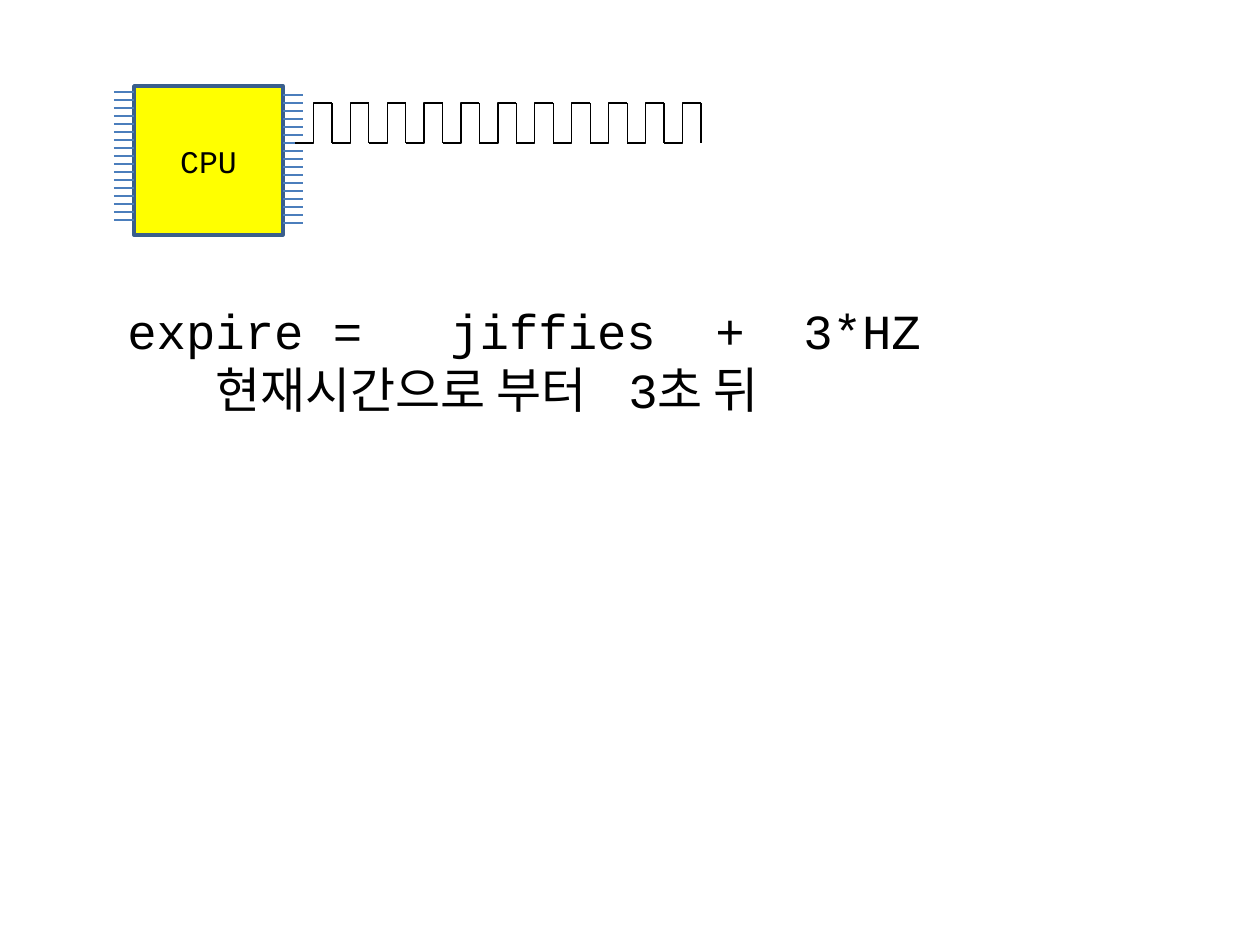
from lxml.etree import SubElement
from pptx import Presentation
from pptx.dml.color import RGBColor
from pptx.enum.shapes import MSO_CONNECTOR as CONN, MSO_SHAPE as SHAPE
from pptx.enum.text import MSO_ANCHOR as ANCHOR, PP_ALIGN as ALIGN
from pptx.oxml.ns import qn
from pptx.util import Emu, Pt

FONT = "Courier New"
BLACK = RGBColor(0x00, 0x00, 0x00)
YELLOW = RGBColor(0xFF, 0xFF, 0x00)
CHIP_EDGE = RGBColor(0x3A, 0x5F, 0x8C)
PIN_BLUE = RGBColor(0x4B, 0x7E, 0xBC)

CHIP = (134, 86, 149, 149)
PIN_COUNT, PIN_STEP = 17, 8
PIN_SIDES = [(283, 303, 95), (114, 134, 92)]
PULSE_COUNT = 11
CLOCK_LEFT, CLOCK_RIGHT, CLOCK_HIGH, CLOCK_LOW = 295, 701, 103, 143
NOTE_BOX = (115, 294, 873, 131)
NOTE_LINES = [
    ("expire =\tjiffies\t+\t3*HZ", (323, 588, 676)),
    ("\t현재시간으로 부터\t3초 뒤", (88, 501)),
]


def px(n):
    return Emu(round(n * 914400 / 126))


def add_line(kind, x1, y1, x2, y2, color):
    line = slide.shapes.add_connector(kind, px(x1), px(y1), px(x2), px(y2))
    line.line.color.rgb = color
    line.line.width = Pt(0.75)
    SubElement(line._element.spPr, qn("a:effectLst"))


def style_text(p, size):
    for r in p.runs:
        r.font.name = FONT
        r.font.size = Pt(size)
        r.font.color.rgb = BLACK


def add_tab_stops(p, stops):
    tabs = SubElement(p._p.get_or_add_pPr(), qn("a:tabLst"))
    for stop in stops:
        SubElement(tabs, qn("a:tab"), pos=str(px(stop)), algn="l")


prs = Presentation()
prs.slide_width, prs.slide_height = px(1260), px(945)
slide = prs.slides.add_slide(prs.slide_layouts[6])

note = slide.shapes.add_textbox(*map(px, NOTE_BOX))
tf = note.text_frame
tf.word_wrap = True
tf.text = "\n".join(text for text, _ in NOTE_LINES)
for p, (_, stops) in zip(tf.paragraphs, NOTE_LINES):
    add_tab_stops(p, stops)
    style_text(p, 28)

chip = slide.shapes.add_shape(SHAPE.RECTANGLE, *map(px, CHIP))
chip.shadow.inherit = False
chip.fill.solid()
chip.fill.fore_color.rgb = YELLOW
chip.line.color.rgb = CHIP_EDGE
chip.line.width = Pt(2)
tf = chip.text_frame
tf.text = "CPU"
tf.vertical_anchor = ANCHOR.MIDDLE
tf.paragraphs[0].alignment = ALIGN.CENTER
style_text(tf.paragraphs[0], 18)

for left, right, top in PIN_SIDES:
    for i in range(PIN_COUNT):
        y = top + i * PIN_STEP
        add_line(CONN.STRAIGHT, left, y, right, y, PIN_BLUE)

period = (CLOCK_RIGHT - CLOCK_LEFT) / PULSE_COUNT
for i in range(PULSE_COUNT):
    start = CLOCK_LEFT + i * period
    end = start + period
    add_line(CONN.ELBOW, start, CLOCK_LOW, end, CLOCK_HIGH, BLACK)
    add_line(CONN.STRAIGHT, end, CLOCK_HIGH, end, CLOCK_LOW, BLACK)

prs.save("out.pptx")
